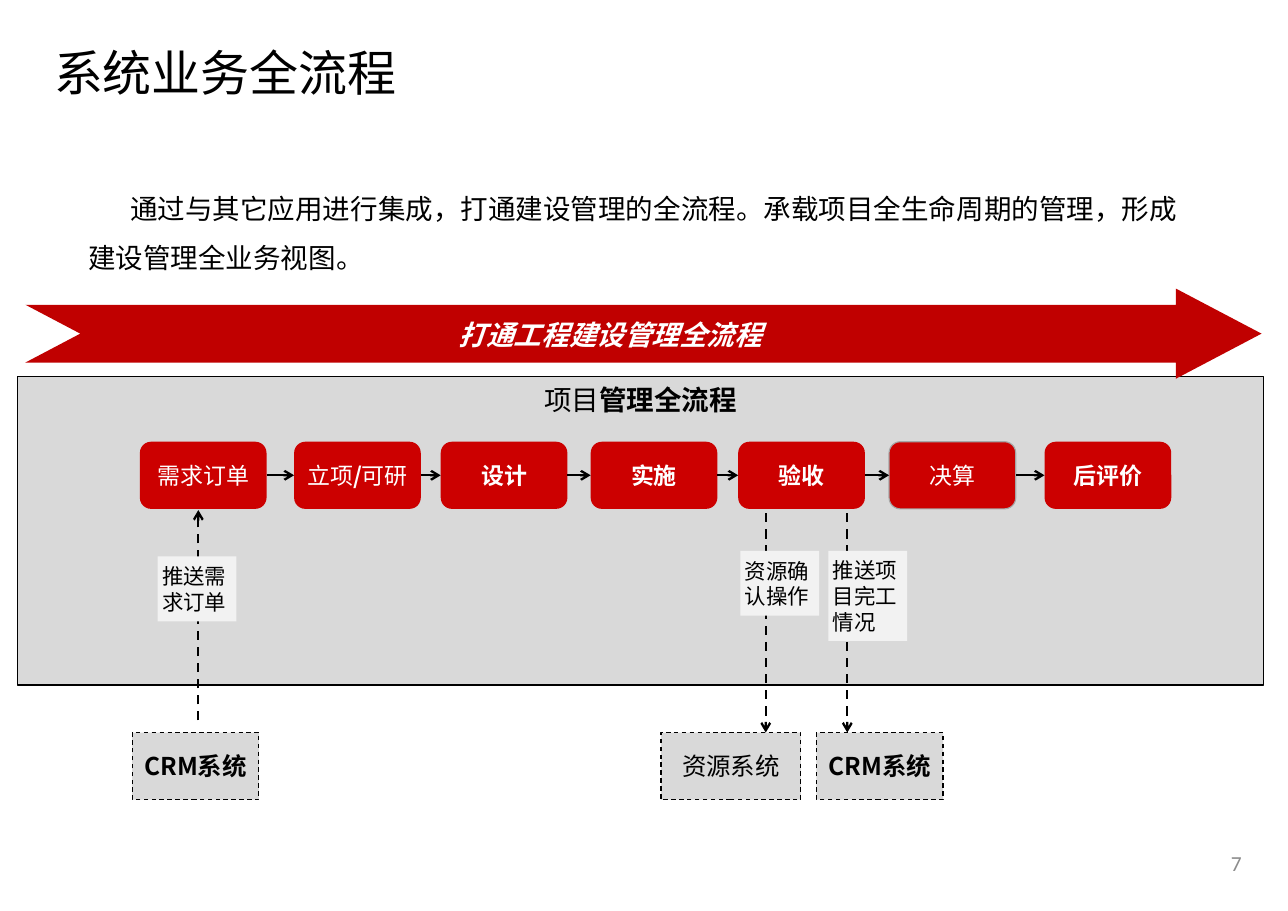
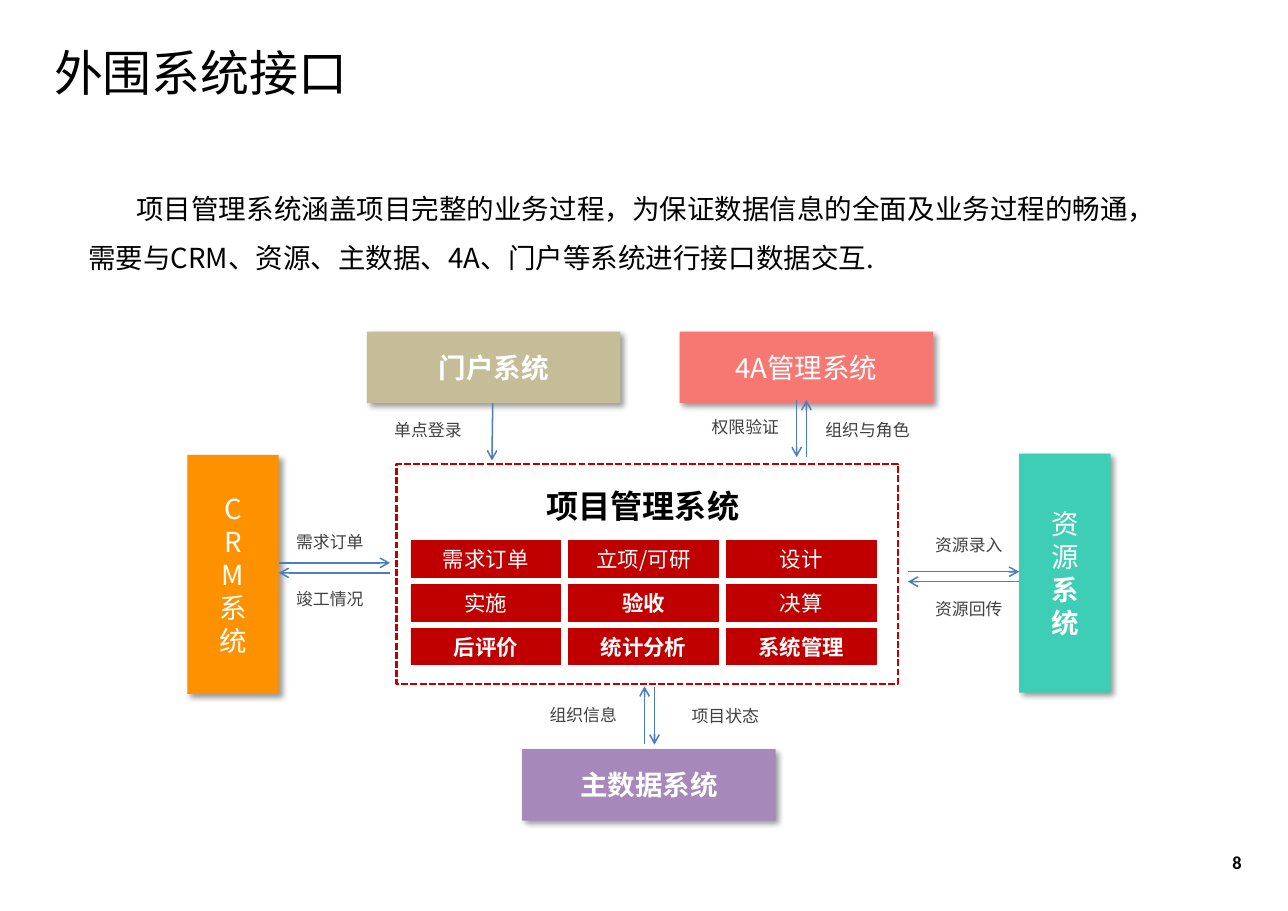
from lxml import etree
from pptx import Presentation
from pptx.dml.color import RGBColor
from pptx.enum.dml import MSO_LINE
from pptx.enum.shapes import MSO_CONNECTOR, MSO_SHAPE
from pptx.enum.text import MSO_ANCHOR, PP_ALIGN
from pptx.oxml.ns import qn
from pptx.util import Pt

RECT, ROUND = MSO_SHAPE.RECTANGLE, MSO_SHAPE.ROUNDED_RECTANGLE
BAND = MSO_SHAPE.NOTCHED_RIGHT_ARROW
STRAIGHT = MSO_CONNECTOR.STRAIGHT
DASH, SHORT_DASH = MSO_LINE.DASH, MSO_LINE.SQUARE_DOT
TOP, MIDDLE = MSO_ANCHOR.TOP, MSO_ANCHOR.MIDDLE
LEFT, CENTER, RIGHT = PP_ALIGN.LEFT, PP_ALIGN.CENTER, PP_ALIGN.RIGHT

COLORS = {
    "black": "000000", "white": "FFFFFF", "gray": "8C8C8C", "text": "404040",
    "panel": "D9D9D9", "note": "F2F2F2", "edge": "A6A6A6", "stage": "CC0000",
    "red": "C00000", "blue": "4B7EBC", "coral": "F77872", "teal": "3DCEB5",
    "purple": "A788BA", "orange": "FE9100", "khaki": "C4BD97",
}


def rgb(name):
    return RGBColor.from_string(COLORS[name])


class Page:
    """Shared style and the slide being drawn."""

    font = "Noto Sans CJK SC"

    def __init__(self, deck):
        self.deck = deck
        self.shapes = None

    def start(self, title, body, indent, number, **number_style):
        self.shapes = self.deck.slides.add_slide(self.deck.slide_layouts[6]).shapes
        self.text(27.4, 23.8, 689, 44.6, title, size=32, align=LEFT, anchor=TOP, inset=(7.9, 4.3))
        self.text(780.5, 548, 38.9, 31.7, number, align=RIGHT, inset=(7.9, 4.3),
                  font="Calibri", **number_style)
        box = self.text(49.7, 110.2, 729.4, 73.4, body, size=18, align=LEFT,
                        anchor=TOP, inset=(7.9, 4.3))
        para = box.text_frame.paragraphs[0]
        para.line_spacing = 1.5
        para._p.get_or_add_pPr().set("indent", str(Pt(indent)))

    def set_text(self, shape, text, size=14, color="black", align=CENTER, anchor=MIDDLE,
                 inset=(1.4, 3), italic=False, font=None):
        """Fill a shape with text; asterisks switch bold, line breaks split paragraphs."""
        frame = shape.text_frame
        frame.word_wrap = True
        frame.vertical_anchor = anchor
        frame.margin_left = frame.margin_right = Pt(inset[0])
        frame.margin_top = frame.margin_bottom = Pt(inset[1])
        bold = False
        for index, line in enumerate(text.split("\n")):
            para = frame.add_paragraph() if index else frame.paragraphs[0]
            para.alignment = align
            for part, words in enumerate(line.split("*")):
                if part:
                    bold = not bold
                if words:
                    span = para.add_run()
                    span.text = words
                    span.font.size = Pt(size)
                    span.font.bold = bold
                    span.font.italic = italic
                    span.font.color.rgb = rgb(color)
                    span.font.name = font or self.font
                    east = etree.SubElement(span._r.get_or_add_rPr(), qn("a:ea"))
                    east.set("typeface", self.font)

    def text(self, x, y, width, height, text, **style):
        box = self.shapes.add_textbox(Pt(x), Pt(y), Pt(width), Pt(height))
        self.set_text(box, text, **style)
        return box

    def shape(self, x, y, width, height, fill, text="", kind=RECT, line=None,
              weight=0.75, dash=None, shadow=False, **style):
        shape = self.shapes.add_shape(kind, Pt(x), Pt(y), Pt(width), Pt(height))
        shape.shadow.inherit = False
        shape.fill.solid()
        shape.fill.fore_color.rgb = rgb(fill)
        if line:
            shape.line.color.rgb = rgb(line)
            shape.line.width = Pt(weight)
            if dash:
                shape.line.dash_style = dash
        else:
            shape.line.fill.background()
        if shadow:
            self.cast_shadow(shape)
        if text:
            self.set_text(shape, text, **style)
        return shape

    def cast_shadow(self, shape):
        effects = shape._element.spPr.find(qn("a:effectLst"))
        outer = etree.SubElement(effects, qn("a:outerShdw"), blurRad=str(Pt(4)),
                                 dist=str(Pt(3)), dir="2700000", algn="tl", rotWithShape="0")
        color = etree.SubElement(outer, qn("a:srgbClr"), val=COLORS["black"])
        etree.SubElement(color, qn("a:alpha"), val="40000")

    def arrow(self, x1, y1, x2, y2, color="black", weight=1.5, dash=None):
        arrow = self.shapes.add_connector(STRAIGHT, Pt(x1), Pt(y1), Pt(x2), Pt(y2))
        arrow.line.color.rgb = rgb(color)
        arrow.line.width = Pt(weight)
        if dash:
            arrow.line.dash_style = dash
        etree.SubElement(arrow.line._get_or_add_ln(), qn("a:tailEnd"), type="arrow")
        etree.SubElement(arrow._element.spPr, qn("a:effectLst"))


def draw_process(page):
    page.start("系统业务全流程",
               "通过与其它应用进行集成，打通建设管理的全流程。承载项目全生命周期的管理，形成建设管理全业务视图。",
               27.5, "7", size=14, color="gray")
    page.shape(11.5, 246.2, 814.3, 201.6, "panel", "项目*管理全流程*", line="black",
               size=18, anchor=TOP, inset=(1.4, 4.3))

    stage_width, stage_top, stage_height = 82.8, 288.7, 43.9
    stages = [(91.4, "需求订单"), (192.2, "立项*/*可研"), (288, "*设计*"), (386, "*实施*"),
              (482.4, "*验收*"), (581, "决算"), (682.6, "*后评价*")]
    for x, name in stages:
        page.shape(x, stage_top, stage_width, stage_height, "stage", name, kind=ROUND,
                   line="edge" if name == "决算" else None, size=15, color="white")
    middle = stage_top + stage_height / 2
    for (x, _), (following, _) in zip(stages, stages[1:]):
        page.arrow(x + stage_width, middle, following, middle)

    band = page.shape(16.6, 188.6, 807.8, 59, "red", kind=BAND)
    band.adjustments[0], band.adjustments[1] = 0.64, 0.95
    page.text(258.5, 203.8, 280.8, 29.5, "*打通工程建设管理全流程*", size=18,
              color="white", italic=True)

    for x, width, name in [(86.4, 82.8, "*CRM系统*"), (432, 91.4, "资源系统"),
                           (533.5, 82.8, "*CRM系统*")]:
        page.shape(x, 478.8, width, 43.9, "panel", name, line="black", dash=DASH, size=16)
    for x, start, end in [(129.6, 470.9, 333.4), (500.4, 335.5, 478.8), (553.7, 335.5, 478.8)]:
        page.arrow(x, start, x, end, dash=DASH)
    for x, y, height, note in [(103, 363.6, 42.5, "推送需求订单"), (483.8, 360, 42.5, "资源确认操作"),
                               (541.4, 360, 59, "推送项目完工情况")]:
        page.shape(x, y, 51.5, height, "note", note, align=LEFT, inset=(2.9, 3))


def draw_interfaces(page):
    page.start("外围系统接口",
               "项目管理系统涵盖项目完整的业务过程，为保证数据信息的全面及业务过程的畅通，"
               "需要与CRM、资源、主数据、4A、门户等系统进行接口数据交互.",
               31.5, "*8*", size=12)
    page.shape(259.2, 303.1, 327.6, 144, "white", line="red", weight=1.5, dash=SHORT_DASH)
    page.text(316.8, 314.6, 206.6, 32.4, "*项目管理系统*", size=21)
    modules = [["需求订单", "立项/可研", "设计"],
               ["实施", "*验收*", "决算"],
               ["*后评价*", "*统计分析*", "*系统管理*"]]
    for row, names in enumerate(modules):
        for column, name in enumerate(names):
            page.shape(268.6 + 103 * column, 353.5 + 28.6 * row, 97.9, 23.8, "red", name,
                       line="red", weight=0.5, color="white", inset=(1.4, 0))

    wide, tall = (165.6, 46.8), (59.8, 156.2)
    for x, y, size, fill, name in [
            (239.8, 216.7, wide, "khaki", "*门户系统*"),
            (444.2, 216.7, wide, "coral", "4A管理系统"),
            (341.3, 489.6, wide, "purple", "*主数据系统*"),
            (122.4, 297.4, tall, "orange", "C\nR\nM\n系\n统"),
            (666, 296.6, tall, "teal", "资\n源\n*系\n统*")]:
        page.shape(x, y, *size, fill, name, shadow=True, size=18, color="white")

    for ends in [(322, 263.5, 321.5, 301),
                 (520.6, 261.4, 520.6, 298.8), (527, 298.8, 527, 261.4),
                 (182.2, 367.9, 254.9, 367.9), (254.9, 374.4, 182.2, 374.4),
                 (593.3, 373.7, 666, 373.7), (666, 380.2, 593.3, 380.2),
                 (421.2, 486, 421.2, 448.6), (427.7, 449.3, 427.7, 486.7)]:
        page.arrow(*ends, color="blue", weight=1)
    for x, y, label in [(226.8, 270, "单点登录"), (434.2, 267.8, "权限验证"),
                        (514.1, 270, "组织与角色"), (162.7, 342.7, "需求订单"),
                        (162.7, 380.2, "竣工情况"), (580.3, 344.9, "资源录入"),
                        (580.3, 386.6, "资源回传"), (328.3, 455.8, "组织信息"),
                        (421.2, 456.5, "项目状态")]:
        page.text(x, y, 105.8, 22.3, label, size=11, color="text")


def main():
    deck = Presentation()
    deck.slide_width, deck.slide_height = Pt(841.68), Pt(595.44)
    page = Page(deck)
    draw_process(page)
    draw_interfaces(page)
    deck.save("out.pptx")


if __name__ == "__main__":
    main()
